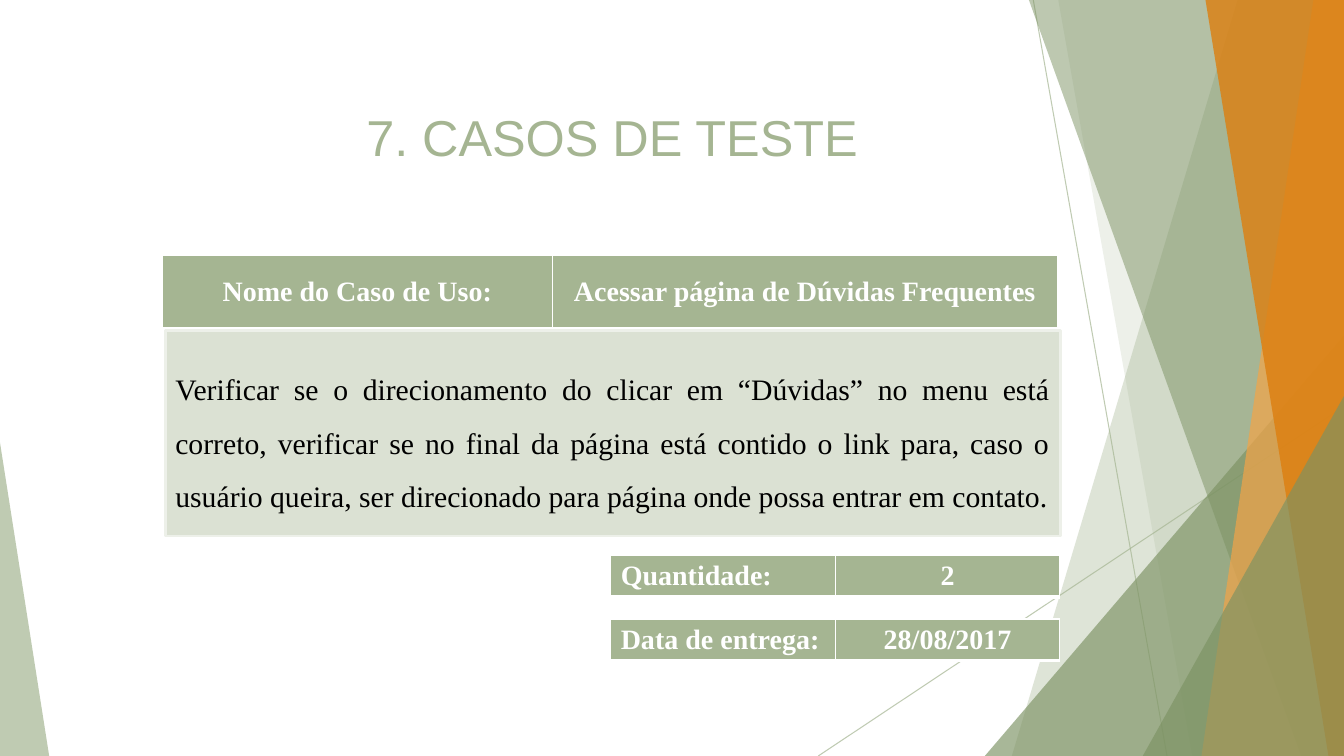
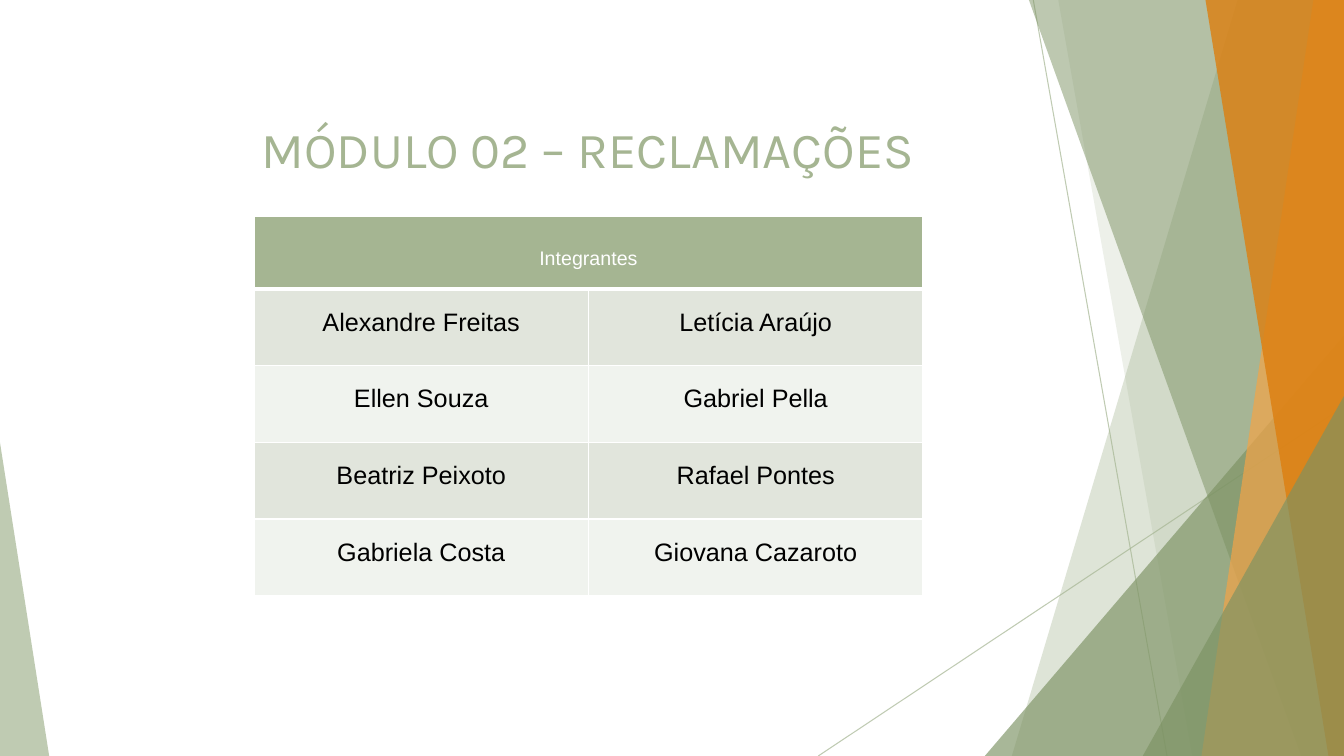
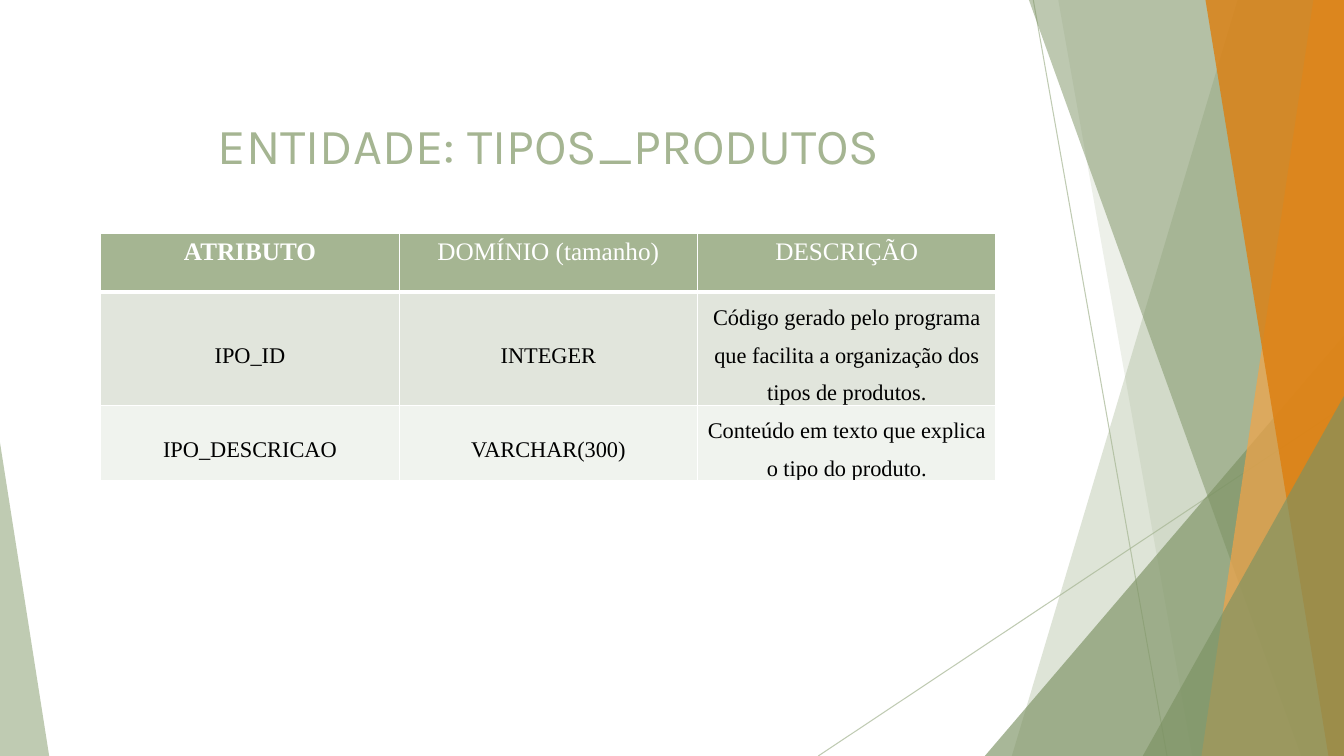
from dataclasses import dataclass, replace

from lxml.etree import SubElement
from pptx import Presentation
from pptx.dml.color import RGBColor
from pptx.enum.shapes import MSO_CONNECTOR, MSO_SHAPE
from pptx.enum.text import MSO_ANCHOR, MSO_AUTO_SIZE, PP_ALIGN
from pptx.oxml.ns import qn
from pptx.util import Cm, Pt

# Page size in centimetres
PAGE_WIDTH, PAGE_HEIGHT = 33.87, 19.05

# Colours
SAGE = RGBColor(0xA5, 0xB5, 0x92)
MOSS = RGBColor(0x7C, 0x92, 0x63)
AMBER = RGBColor(0xF3, 0xA4, 0x47)
ORANGE = RGBColor(0xDD, 0x7E, 0x0E)
BOX_FILL = RGBColor(0xDB, 0xE1, 0xD3)
BOX_LINE = RGBColor(0xED, 0xF0, 0xE9)
ROW_FILLS = (RGBColor(0xE1, 0xE5, 0xDC), RGBColor(0xF0, 0xF3, 0xEE))
WHITE = RGBColor(0xFF, 0xFF, 0xFF)
BLACK = RGBColor(0, 0, 0)

# Fonts
SERIF, SANS, DISPLAY = "Times New Roman", "Arial", "Karla"


@dataclass(frozen=True)
class TextStyle:
    font: str
    size: float
    color: RGBColor = BLACK
    bold: bool = False
    align: PP_ALIGN = PP_ALIGN.CENTER
    anchor: MSO_ANCHOR = MSO_ANCHOR.MIDDLE
    spacing: float = 1.0


# Text
def write(text_frame, text, style):
    paragraph = text_frame.paragraphs[0]
    paragraph.alignment = style.align
    paragraph.line_spacing = style.spacing
    run = paragraph.add_run()
    run.text = text
    run.font.name = style.font
    run.font.size = Pt(style.size)
    run.font.bold = style.bold
    run.font.color.rgb = style.color


def place(shape, left, top, width, height):
    shape.left, shape.top = Cm(left), Cm(top)
    shape.width, shape.height = Cm(width), Cm(height)


def set_title(slide, text, left, top, font=DISPLAY):
    title = slide.shapes.title
    place(title, left, top, 27, 1.8)
    title.text_frame.auto_size = MSO_AUTO_SIZE.NONE
    title.text_frame.vertical_anchor = MSO_ANCHOR.MIDDLE
    write(title.text_frame, text, TextStyle(font, 36, SAGE))


# Shared background
def set_opacity(shape, percent):
    for color in shape.element.iter(qn("a:srgbClr")):
        SubElement(color, qn("a:alpha")).set("val", str(percent * 1000))


def paint(shape, color, opacity):
    shape.shadow.inherit = False
    shape.fill.solid()
    shape.fill.fore_color.rgb = color
    shape.line.fill.background()
    set_opacity(shape, opacity)


def add_thin_line(shapes, start_x, start_y, end_x, end_y):
    line = shapes.add_connector(MSO_CONNECTOR.STRAIGHT, Cm(start_x), Cm(start_y),
                                Cm(end_x), Cm(end_y))
    line.line.color.rgb = SAGE
    line.line.width = Pt(0.75)
    SubElement(line.element.spPr, qn("a:effectLst"))
    set_opacity(line, 70)


def add_band(shapes, top_x, bottom_x, color, opacity):
    """Full-height band from a slanted left edge to the right page edge."""
    builder = shapes.build_freeform(Cm(top_x), 0)
    builder.add_line_segments([
        (Cm(PAGE_WIDTH), 0),
        (Cm(PAGE_WIDTH), Cm(PAGE_HEIGHT)),
        (Cm(bottom_x), Cm(PAGE_HEIGHT)),
    ])
    paint(builder.convert_to_shape(), color, opacity)


def add_corner(shapes, left, top, width, apex, color, opacity):
    """Triangle standing on the bottom page edge."""
    corner = shapes.add_shape(MSO_SHAPE.ISOSCELES_TRIANGLE, Cm(left), Cm(top),
                              Cm(width), Cm(PAGE_HEIGHT - top))
    corner.adjustments[0] = apex
    paint(corner, color, opacity)


def add_background(slide):
    """Draw the background once and move it to the layout all slides use."""
    group = slide.shapes.add_group_shape()
    shapes = group.shapes
    add_thin_line(shapes, 26.04, 0, 29.41, PAGE_HEIGHT)
    add_thin_line(shapes, PAGE_WIDTH, 10.24, 20.62, PAGE_HEIGHT)
    add_band(shapes, 31.19, 25.5, SAGE, 36)
    add_band(shapes, 26.67, 30.05, SAGE, 20)
    add_corner(shapes, 24.82, 8.46, 9.05, 1, MOSS, 66)
    add_band(shapes, 25.93, 32.79, MOSS, 50)
    add_band(shapes, 33.1, 30.28, AMBER, 70)
    add_band(shapes, 30.38, 33.48, ORANGE, 80)
    add_corner(shapes, 28.8, 9.98, 5.07, 1, MOSS, 66)
    add_corner(shapes, 0, 11.15, 1.24, 0, SAGE, 70)
    slide.slide_layout.shapes.element.insert(2, group.element)


# Tables
def add_borders(cell, bottom_width):
    properties = cell._tc.get_or_add_tcPr()
    for side, width in (("L", 1), ("R", 1), ("T", 1), ("B", bottom_width)):
        border = SubElement(properties, qn(f"a:ln{side}"), w=str(Pt(width)))
        fill = SubElement(border, qn("a:solidFill"))
        SubElement(fill, qn("a:srgbClr"), val=str(WHITE))


def add_table(slide, left, top, widths, heights, rows):
    """Each row is a list of (text, style); the first row is the header."""
    frame = slide.shapes.add_table(len(heights), len(widths), Cm(left), Cm(top),
                                   Cm(sum(widths)), Cm(sum(heights)))
    table = frame.table
    table.first_row = table.horz_banding = False
    for column, width in zip(table.columns, widths):
        column.width = Cm(width)
    for row, height in zip(table.rows, heights):
        row.height = Cm(height)
    for row_index, row in enumerate(rows):
        for column_index in range(len(widths)):
            cell = table.cell(row_index, column_index)
            add_borders(cell, 1 if row_index else 3)
            cell.fill.solid()
            cell.fill.fore_color.rgb = ROW_FILLS[(row_index - 1) % 2] if row_index else SAGE
        for column_index, (text, style) in enumerate(row):
            cell = table.cell(row_index, column_index)
            cell.vertical_anchor = style.anchor
            write(cell.text_frame, text, style)
    return table


def styled(style, *texts):
    return [(text, style) for text in texts]


# Slides
def build_test_case(slide):
    set_title(slide, "7. CASOS DE TESTE", 1.93, 2.54, SANS)
    header = TextStyle(SERIF, 20, WHITE, bold=True)
    add_table(slide, 4.09, 6.43, [9.83, 12.73], [1.85],
              [styled(header, "Nome do Caso de Uso:", "Acessar página de Dúvidas Frequentes")])

    box = slide.shapes.add_shape(MSO_SHAPE.RECTANGLE, Cm(4.17), Cm(8.33), Cm(22.56), Cm(5.18))
    box.shadow.inherit = False
    box.fill.solid()
    box.fill.fore_color.rgb = BOX_FILL
    box.line.color.rgb = BOX_LINE
    box.line.width = Pt(2)
    box.text_frame.word_wrap = True
    box.text_frame.vertical_anchor = MSO_ANCHOR.MIDDLE
    write(box.text_frame,
          "Verificar se o direcionamento do clicar em “Dúvidas” no menu está correto, "
          "verificar se no final da página está contido o link para, caso o usuário "
          "queira, ser direcionado para página onde possa entrar em contato.",
          TextStyle(SERIF, 21.2, align=PP_ALIGN.JUSTIFY, spacing=1.5))

    value = replace(header, anchor=MSO_ANCHOR.TOP)
    label = replace(value, align=PP_ALIGN.LEFT)
    details = [("Quantidade:", "2"), ("Data de entrega:", "28/08/2017")]
    for index, (name, content) in enumerate(details):
        add_table(slide, 15.39, 14 + index * 1.6, [5.66] * 2, [1.04],
                  [[(name, label), (content, value)]])


def build_members(slide):
    set_title(slide, "MÓDULO 02 – RECLAMAÇÕES", 1.32, 2.84)
    header = TextStyle(SANS, 14, WHITE, spacing=1.5)
    member = TextStyle(SANS, 18, anchor=MSO_ANCHOR.TOP, spacing=1.5)
    table = add_table(slide, 6.4, 5.46, [8.43] * 2, [1.83] + [1.93] * 4, [
        styled(header, "Integrantes"),
        styled(member, "Alexandre Freitas", "Letícia Araújo"),
        styled(member, "Ellen Souza", "Gabriel Pella"),
        styled(member, "Beatriz Peixoto", "Rafael Pontes"),
        styled(member, "Gabriela Costa", "Giovana Cazaroto"),
    ])
    table.cell(0, 0).merge(table.cell(0, 1))


def build_entity(slide):
    set_title(slide, "ENTIDADE: TIPOS_PRODUTOS", 0.33, 2.74)
    header = TextStyle(SERIF, 18, WHITE, anchor=MSO_ANCHOR.TOP)
    body = TextStyle(SERIF, 16, spacing=1.5)
    table = add_table(slide, 2.54, 5.87, [7.52] * 3, [1.49, 2.82, 1.91], [
        styled(replace(header, bold=True), "ATRIBUTO")
        + styled(header, "DOMÍNIO (tamanho)", "DESCRIÇÃO"),
        styled(body, "IPO_ID", "INTEGER",
               "Código gerado pelo programa que facilita a organização dos tipos de produtos."),
        styled(body, "IPO_DESCRICAO", "VARCHAR(300)",
               "Conteúdo em texto que explica o tipo do produto."),
    ])
    for row_index in (1, 2):
        for column_index, margin in enumerate((0.03, 0.03, 0.15)):
            cell = table.cell(row_index, column_index)
            cell.margin_left = cell.margin_right = Cm(margin)
            cell.margin_top, cell.margin_bottom = Cm(0.03), 0


def main():
    presentation = Presentation()
    presentation.slide_width = Cm(PAGE_WIDTH)
    presentation.slide_height = Cm(PAGE_HEIGHT)
    title_only = presentation.slide_layouts[5]
    builders = (build_test_case, build_members, build_entity)
    slides = [presentation.slides.add_slide(title_only) for _ in builders]
    add_background(slides[0])
    for build, slide in zip(builders, slides):
        build(slide)
    presentation.save("out.pptx")


if __name__ == "__main__":
    main()
